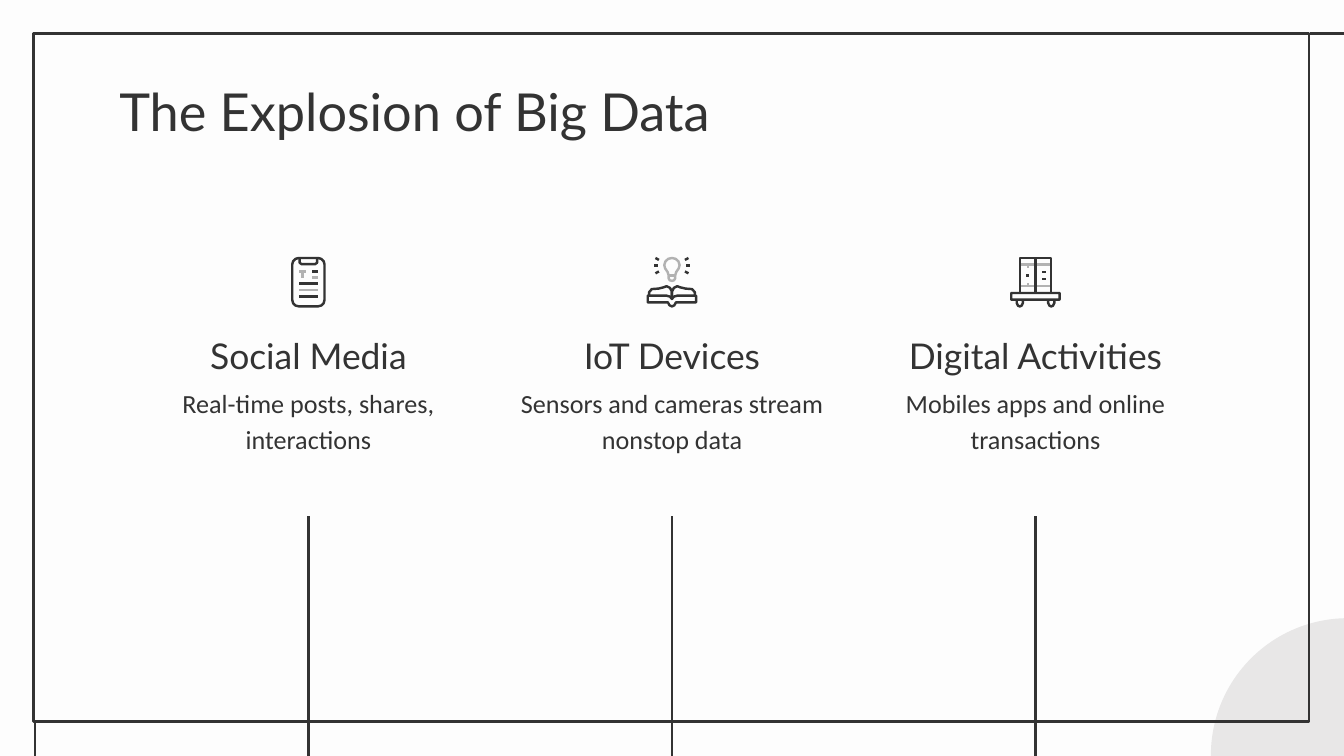
from dataclasses import dataclass

from lxml.etree import SubElement
from pptx import Presentation
from pptx.dml.color import RGBColor
from pptx.enum.shapes import MSO_CONNECTOR, MSO_SHAPE
from pptx.enum.text import MSO_ANCHOR as Anchor, PP_ALIGN as Align
from pptx.oxml.ns import qn
from pptx.util import Inches, Pt


@dataclass(frozen=True)
class Theme:
    background = RGBColor.from_string("FDFDFD")
    ink = RGBColor.from_string("333333")
    muted = RGBColor.from_string("B2B2B2")
    disc = RGBColor.from_string("E8E7E7")
    heading_font = "Lato"
    body_font = "Calibri"
    title_size = 28
    heading_size = 19
    body_size = 14
    rule_width = 1.5
    icon_width = 1.3


THEME = Theme()
ICON_SIZE = 0.38
ICON_GRID = 38
FIRST_COLUMN, LAST_COLUMN = 1.07, 6.48


def style_line(shape, color, width):
    shape.line.color.rgb = color
    shape.line.width = Pt(width)


def add_line(shapes, start, end, color=THEME.ink, width=THEME.rule_width):
    line = shapes.add_connector(
        MSO_CONNECTOR.STRAIGHT, *[Inches(value) for value in (*start, *end)]
    )
    style_line(line, color, width)
    SubElement(line._element.spPr, qn("a:effectLst"))


def add_preset(shapes, preset, left, top, width, height):
    shape = shapes.add_shape(
        preset, Inches(left), Inches(top), Inches(width), Inches(height)
    )
    shape.shadow.inherit = False
    return shape


def add_text(slide, box, text, size, font, align=Align.LEFT,
             anchor=Anchor.TOP, spacing=1.0):
    frame = slide.shapes.add_textbox(*[Inches(value) for value in box]).text_frame
    frame.word_wrap = True
    frame.vertical_anchor = anchor
    frame.margin_left = frame.margin_right = Inches(0.1)
    frame.margin_top = frame.margin_bottom = Inches(0.1)
    paragraph = frame.paragraphs[0]
    paragraph.alignment = align
    paragraph.line_spacing = spacing
    run = paragraph.add_run()
    run.text = text
    run.font.size = Pt(size)
    run.font.name = font
    run.font.color.rgb = THEME.ink


class IconPen:
    def __init__(self, slide, left, top):
        self.shapes = slide.shapes.add_group_shape().shapes
        self.left, self.top = left, top

    def place(self, point):
        scale = ICON_SIZE / ICON_GRID
        return self.left + point[0] * scale, self.top + point[1] * scale

    def stroke(self, start, end, color=THEME.ink):
        add_line(self.shapes, self.place(start), self.place(end),
                 color, THEME.icon_width)

    def outline(self, points, color=THEME.ink, close=False):
        spots = [tuple(Inches(v) for v in self.place(p)) for p in points]
        builder = self.shapes.build_freeform(*spots[0])
        builder.add_line_segments(spots[1:], close=close)
        shape = builder.convert_to_shape()
        shape.shadow.inherit = False
        shape.fill.background()
        style_line(shape, color, THEME.icon_width)

    def box(self, left, top, right, bottom, radius=0.0):
        x, y = self.place((left, top))
        end_x, end_y = self.place((right, bottom))
        shape = add_preset(self.shapes, MSO_SHAPE.ROUNDED_RECTANGLE,
                           x, y, end_x - x, end_y - y)
        shape.adjustments[0] = radius
        shape.fill.background()
        style_line(shape, THEME.ink, THEME.icon_width)


def mirror(points):
    return [(ICON_GRID - x, y) for x, y in reversed(points)]


def draw_phone(pen):
    pen.box(7, 1, 31, 37, radius=0.2)
    notch = [(12.5, 1), (12.5, 4.5), (14, 5.6)]
    pen.outline(notch + mirror(notch))
    pen.stroke((12, 11), (17, 11), THEME.muted)
    pen.stroke((14.5, 11), (14.5, 15.5), THEME.muted)
    for left, y, color in [
        (22, 11, THEME.ink), (22, 15.5, THEME.muted), (12, 20, THEME.ink),
        (12, 25, THEME.muted), (12, 29.5, THEME.ink),
    ]:
        pen.stroke((left, y), (26, y), color)


def draw_book(pen):
    page = [(2, 28.5), (2, 26.5), (4, 24.2), (9, 23.8), (13, 22.8),
            (15, 22), (17.5, 23.2), (19, 26), (19, 30.5)]
    cover = [(1, 34), (1, 29), (15, 29), (17.5, 29.7), (19, 31.5)]
    spine = [(19, 37), (17.2, 36.2), (16, 34)]
    rays = [[(5.8, 6.7), (8.3, 6.7)], [(6.7, 1), (9.3, 2.4)],
            [(6.7, 12.4), (9.3, 11)]]
    bulb = [(19, 18), (17.4, 17.6), (16.6, 16.2), (16.6, 14), (15.8, 11.4),
            (14, 8.8), (13.3, 6.3), (14.2, 3.5), (16.3, 1.6), (19, 1)]
    for half in (page, *rays):
        pen.outline(half)
        pen.outline(mirror(half))
    pen.outline(cover + mirror(cover) + mirror(spine) + spine, close=True)
    pen.outline(bulb + mirror(bulb), THEME.muted, close=True)
    pen.stroke((16.6, 14), (21.4, 14), THEME.muted)


def draw_cart(pen):
    for y, tick_y in [(6, 8.5), (22, 19.5)]:
        pen.stroke((7.3, y), (30.7, y), THEME.muted)
        pen.stroke((13.3, y), (13.3, tick_y), THEME.muted)
    for left, right in [(7.3, 19), (19, 30.7)]:
        pen.box(left, 1, right, 27)
    pen.box(1, 27, 37, 32, radius=0.08)
    wheel = [(5, 32), (5, 34.5), (6, 36.5), (7.3, 37),
             (8.6, 36.5), (9.6, 34.5), (9.6, 32)]
    pen.outline(wheel)
    pen.outline(mirror(wheel))
    for x, y in [(12, 14), (24, 11.5), (24, 16.5)]:
        pen.stroke((x, y), (x + 2.5, y))


def add_frame(slide, left, top, width, height):
    disc = add_preset(slide.shapes, MSO_SHAPE.OVAL, 9.01, 4.6, 2.04, 2.04)
    disc.fill.solid()
    disc.fill.fore_color.rgb = THEME.disc
    disc.line.fill.background()
    frame = add_preset(slide.shapes, MSO_SHAPE.RECTANGLE, left, top, width, height)
    frame.fill.background()
    style_line(frame, THEME.ink, THEME.rule_width)
    right, bottom = left + width, top + height
    add_line(slide.shapes, (right + 0.34, top), (right + 0.01, top))
    add_line(slide.shapes, (left + 0.01, bottom), (left + 0.01, bottom + 0.34))


def add_source_column(slide, left, top, width, heading, body, draw_icon):
    center = left + width / 2
    draw_icon(IconPen(slide, center - ICON_SIZE / 2, top))
    add_text(slide, (left, top + 0.84, width, 1.09), body, THEME.body_size,
             THEME.body_font, Align.CENTER, spacing=1.15)
    add_text(slide, (left, top + 0.59, width, 0.4), heading, THEME.heading_size,
             THEME.heading_font, Align.CENTER, Anchor.BOTTOM, 1.15)
    add_line(slide.shapes, (center, top + 1.93), (center, top + 3.78))


def main():
    presentation = Presentation()
    presentation.slide_width = Inches(10)
    presentation.slide_height = Inches(10) * 9 // 16
    slide = presentation.slides.add_slide(presentation.slide_layouts[6])
    slide.background.fill.solid()
    slide.background.fill.fore_color.rgb = THEME.background

    add_frame(slide, 0.25, 0.25, 9.49, 5.12)
    add_text(slide, (0.79, 0.49, 8.43, 0.63), "The Explosion of Big Data",
             THEME.title_size, THEME.heading_font)
    columns = [
        ("Social Media", "Real-time posts, shares, interactions", draw_phone),
        ("IoT Devices", "Sensors and cameras stream nonstop data", draw_book),
        ("Digital Activities", "Mobiles apps and online transactions", draw_cart),
    ]
    pitch = (LAST_COLUMN - FIRST_COLUMN) / (len(columns) - 1)
    for index, column in enumerate(columns):
        add_source_column(slide, FIRST_COLUMN + index * pitch, 1.91, 2.45, *column)
    presentation.save("out.pptx")


if __name__ == "__main__":
    main()
